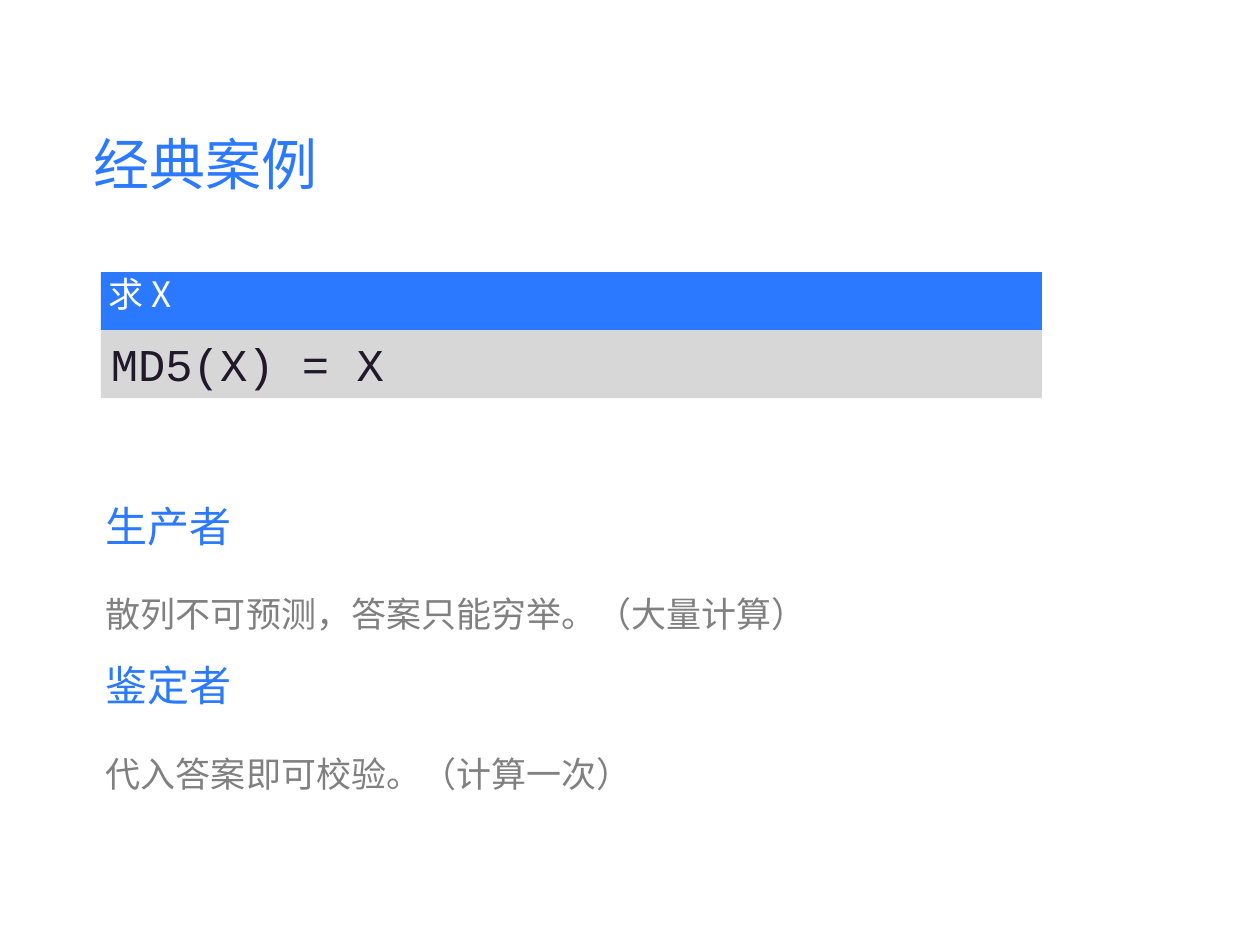
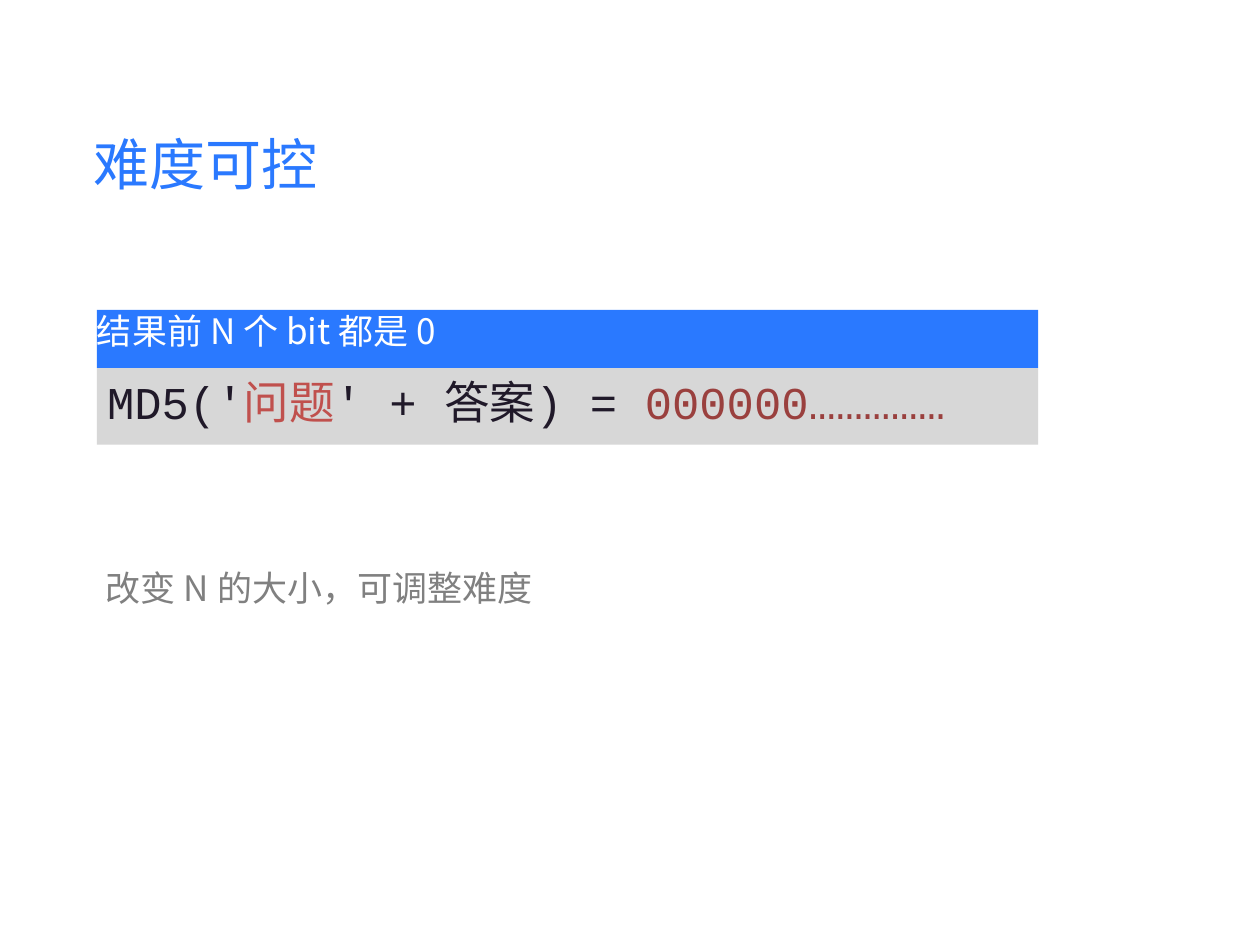
from pptx import Presentation
from pptx.dml.color import RGBColor
from pptx.enum.shapes import MSO_SHAPE
from pptx.enum.text import MSO_ANCHOR, PP_ALIGN
from pptx.util import Inches, Pt

BLUE = RGBColor(0x2A, 0x79, 0xFF)
PALE_GRAY = RGBColor(0xD7, 0xD7, 0xD7)
GRAY = RGBColor(0x80, 0x80, 0x80)
INK = RGBColor(0x20, 0x19, 0x29)
RED = RGBColor(0xC0, 0x50, 0x4D)
DARK_RED = RGBColor(0x9A, 0x40, 0x3E)
WHITE = RGBColor(0xFF, 0xFF, 0xFF)

TEXT_FONT = "Noto Sans CJK SC"
CODE_FONT = "Courier New"

# Lengths in inches
PAGE_WIDTH, PAGE_HEIGHT = 10, 7.5
TITLE_BOX = (0.69, 0.98, 3.92, 0.68)
PANEL_WIDTH, HEADING_HEIGHT = 7.47, 0.46
NOTES_LEFT, NOTES_WIDTH = 0.79, 8.11
INSET = 0.05


def set_insets(frame, left, top, right, bottom):
    frame.margin_left, frame.margin_top = Inches(left), Inches(top)
    frame.margin_right, frame.margin_bottom = Inches(right), Inches(bottom)
    frame.word_wrap = True
    frame.vertical_anchor = MSO_ANCHOR.TOP


def style_paragraph(para, size, color, font=TEXT_FONT, spacing=1.0):
    para.alignment = PP_ALIGN.LEFT
    para.line_spacing = spacing
    para.font.name = font
    para.font.size = Pt(size)
    para.font.color.rgb = color


def add_text(page, box, lines):
    """Each line is (text, size, color, line spacing)."""
    frame = page.shapes.add_textbox(*map(Inches, box)).text_frame
    set_insets(frame, INSET, INSET, INSET, INSET)
    for index, (text, size, color, spacing) in enumerate(lines):
        para = frame.add_paragraph() if index else frame.paragraphs[0]
        para.text = text
        style_paragraph(para, size, color, spacing=spacing)


def add_bar(page, box, fill, insets):
    bar = page.shapes.add_shape(MSO_SHAPE.RECTANGLE, *map(Inches, box))
    bar.shadow.inherit = False
    bar.fill.solid()
    bar.fill.fore_color.rgb = fill
    bar.line.fill.background()
    set_insets(bar.text_frame, *insets)
    return bar.text_frame.paragraphs[0]


def add_formula_panel(page, left, top, code_height, heading, heading_indent, code):
    """A blue heading bar on top of a gray bar of coloured code spans."""
    code_box = (left, top + HEADING_HEIGHT, PANEL_WIDTH, code_height)
    para = add_bar(page, code_box, PALE_GRAY, (0.08, INSET, 0, 0))
    style_paragraph(para, 26, INK, CODE_FONT)
    for text, color in code:
        span = para.add_run()
        span.text = text
        span.font.name = CODE_FONT
        span.font.size = Pt(26)
        span.font.color.rgb = color

    heading_box = (left, top, PANEL_WIDTH, HEADING_HEIGHT)
    para = add_bar(page, heading_box, BLUE, (heading_indent, 0, 0, 0))
    para.text = heading
    style_paragraph(para, 20, WHITE)


def add_page(deck, title):
    page = deck.slides.add_slide(deck.slide_layouts[6])
    add_text(page, TITLE_BOX, [(title, 32, BLUE, 1.0)])
    return page


def add_notes(page, top, height, lines):
    add_text(page, (NOTES_LEFT, top, NOTES_WIDTH, height), lines)


def role(name, duty):
    return [(name, 24, BLUE, 1.5), (duty, 20, GRAY, 2.0)]


def build_classic_case(deck):
    page = add_page(deck, "经典案例")
    add_formula_panel(page, 0.8, 2.16, 0.54, "求 X", 0.06, [("MD5(X) = X", INK)])
    add_notes(page, 3.72, 2.48,
              role("生产者", "散列不可预测，答案只能穷举。（大量计算）")
              + role("鉴定者", "代入答案即可校验。（计算一次）"))


def build_difficulty(deck):
    page = add_page(deck, "难度可控")
    code = [("MD5('", INK), ("问题", RED), ("' + 答案) = ", INK),
            ("000000……………", DARK_RED)]
    add_formula_panel(page, 0.77, 2.46, 0.61, "结果前 N 个 bit 都是 0", 0, code)
    add_notes(page, 4.11, 0.46, [("改变 N 的大小，可调整难度", 20, GRAY, 2.0)])


def main():
    deck = Presentation()
    deck.slide_width, deck.slide_height = Inches(PAGE_WIDTH), Inches(PAGE_HEIGHT)
    build_classic_case(deck)
    build_difficulty(deck)
    deck.save("out.pptx")


if __name__ == "__main__":
    main()
